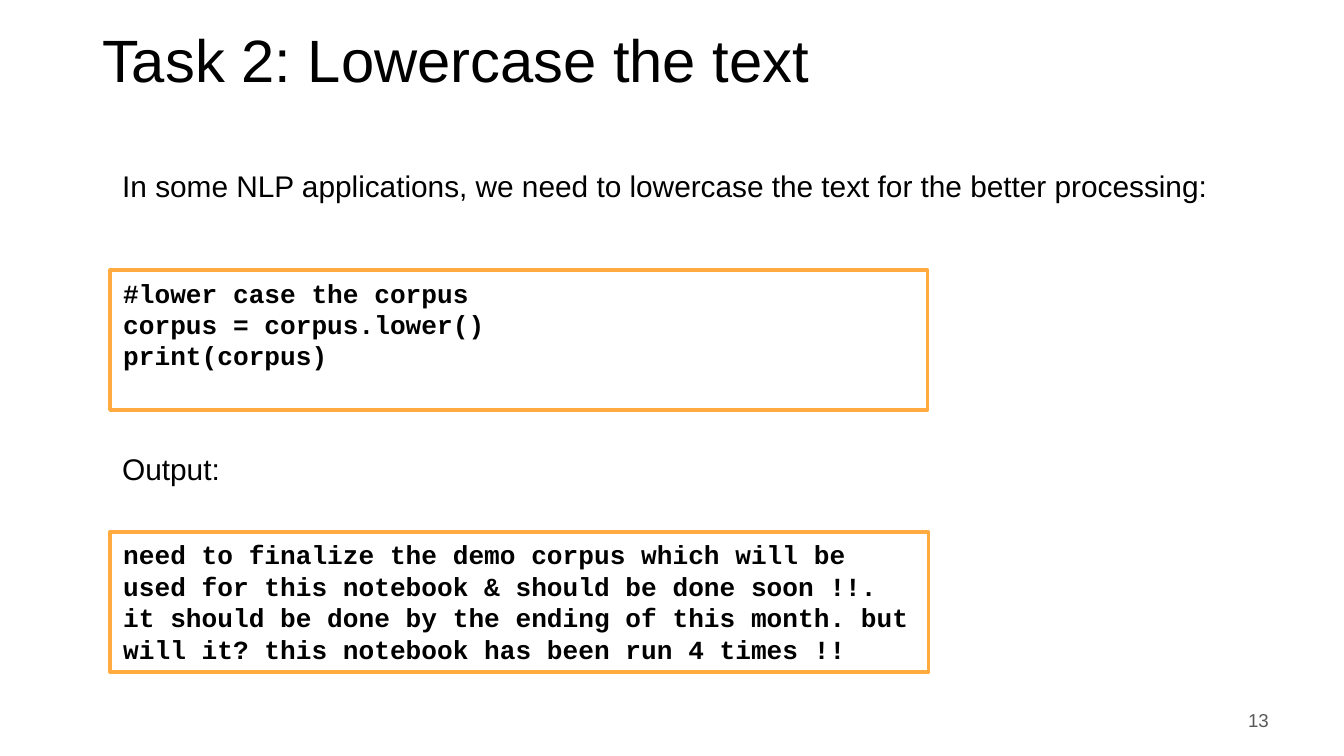
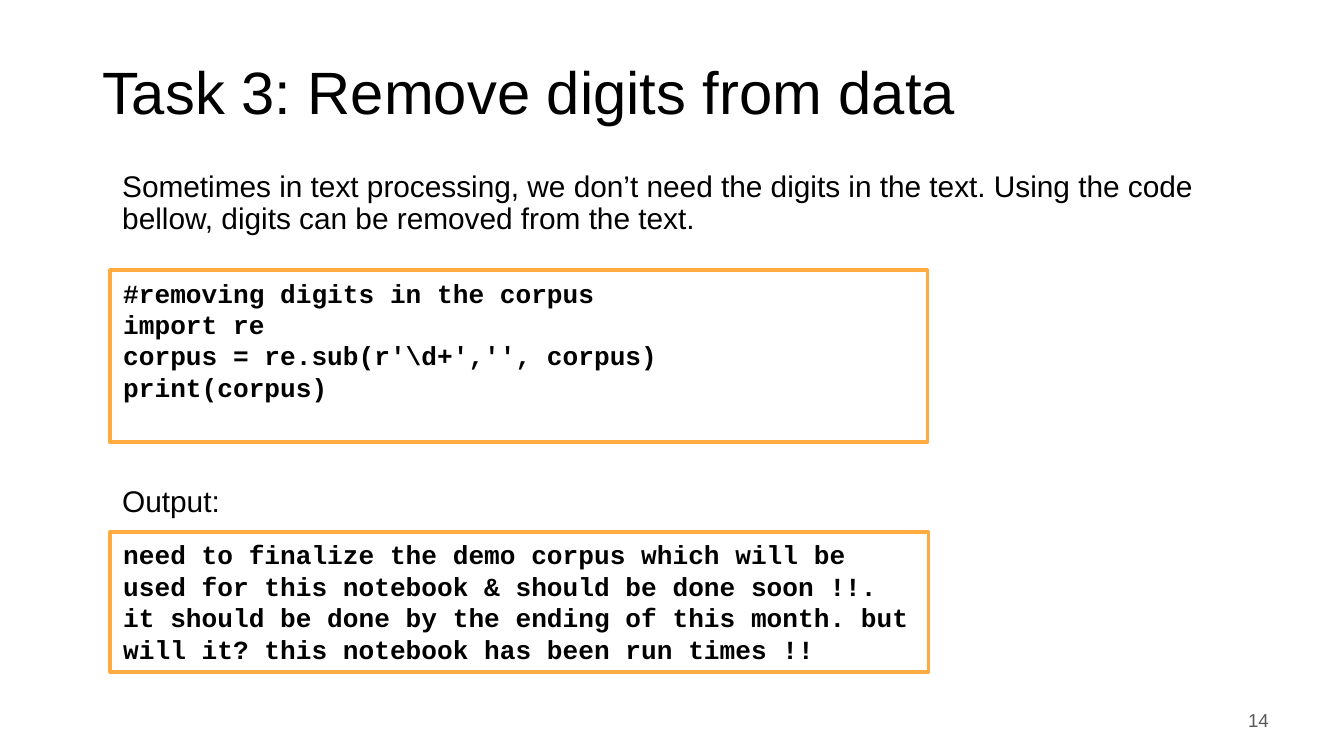
"""Build two slides on lowercasing text and removing digits from a corpus."""
from dataclasses import dataclass

from lxml.etree import SubElement
from pptx import Presentation
from pptx.dml.color import RGBColor
from pptx.enum.shapes import MSO_SHAPE
from pptx.enum.text import MSO_ANCHOR as Anchor, MSO_AUTO_SIZE as AutoSize, PP_ALIGN as Align
from pptx.oxml.ns import qn
from pptx.slide import Slide
from pptx.text.text import TextFrame, _Paragraph as Paragraph
from pptx.util import Cm, Pt


@dataclass(frozen=True)
class Style:
    font: str
    size: int
    color: RGBColor
    bold: bool = False


@dataclass(frozen=True)
class Theme:
    paper: RGBColor = RGBColor(0xFF, 0xFF, 0xFF)
    frame: RGBColor = RGBColor(0xFF, 0xAB, 0x40)
    frame_width: int = 2
    title: Style = Style("Arial", 32, RGBColor(0, 0, 0))
    body: Style = Style("Arial", 16, RGBColor(0, 0, 0))
    code: Style = Style("Courier New", 14, RGBColor(0, 0, 0), True)
    number: Style = Style("Arial", 10, RGBColor(0x59, 0x59, 0x59))


@dataclass(frozen=True)
class Box:
    left: float
    top: float
    width: float
    height: float

    def lengths(self) -> tuple[Cm, Cm, Cm, Cm]:
        return Cm(self.left), Cm(self.top), Cm(self.width), Cm(self.height)


@dataclass(frozen=True)
class Task:
    number: int
    title: str
    intro: str
    code: tuple[str, ...]
    code_height: float
    output: str
    title_lift: float = 0


THEME = Theme()
TITLE_BOX = Box(1.75, 0.76, 21.9, 2.08)
BODY_BOX = Box(1.75, 3.15, 21.9, 9.73)
NUMBER_BOX = Box(18.44, 13.23, 5.72, 0.76)
CODE_LEFT, CODE_TOP, CODE_WIDTH = 2.08, 5.11, 15.45
OUTPUT_BOX = Box(CODE_LEFT, 10.06, 15.47, 2.64)
OUTPUT_GAP = Pt(134.4)

TASKS = (
    Task(
        13,
        "Task 2: Lowercase the text",
        "In some NLP applications, we need to lowercase the text for the better processing:",
        ("#lower case the corpus", "corpus = corpus.lower()", "print(corpus)"),
        2.64,
        "need to finalize the demo corpus which will be used for this notebook & should be "
        "done soon !!. it should be done by the ending of this month. but will it? "
        "this notebook has been run 4 times !!",
        title_lift=0.6,
    ),
    Task(
        14,
        "Task 3: Remove digits from data",
        "Sometimes in text processing, we don’t need the digits in the text. "
        "Using the code bellow, digits can be removed from the text.",
        ("#removing digits in the corpus", "import re",
         r"corpus = re.sub(r'\d+','', corpus)", "print(corpus)"),
        3.25,
        "need to finalize the demo corpus which will be used for this notebook & should be "
        "done soon !!. it should be done by the ending of this month. but will it? "
        "this notebook has been run times !!",
    ),
)


def write(frame: TextFrame, lines: tuple[str, ...], style: Style,
          align: Align = Align.LEFT) -> list[Paragraph]:
    """Fill a frame with one styled paragraph per line."""
    frame.word_wrap = True
    frame.auto_size = AutoSize.NONE
    frame.text = "\n".join(lines)
    for paragraph in frame.paragraphs:
        paragraph.alignment = align
        font = paragraph.font
        font.name, font.size, font.bold = style.font, Pt(style.size), style.bold
        font.color.rgb = style.color
    return list(frame.paragraphs)


def set_insets(frame: TextFrame, anchor: Anchor, lift: float = 0) -> None:
    """Apply the narrow insets, raising middle-anchored text by the lift."""
    frame.margin_left = frame.margin_right = Cm(0.18)
    frame.margin_top, frame.margin_bottom = Cm(0.1), Cm(0.1 + 2 * lift)
    frame.vertical_anchor = anchor


def place(shape, box: Box) -> None:
    """Move a placeholder to a box."""
    shape.left, shape.top, shape.width, shape.height = box.lengths()


def add_title(slide: Slide, task: Task) -> None:
    """Write the slide title."""
    title = slide.shapes.title
    place(title, TITLE_BOX)
    heading, = write(title.text_frame, (task.title,), THEME.title)
    heading.line_spacing = 0.9
    set_insets(title.text_frame, Anchor.MIDDLE, task.title_lift)


def add_body(slide: Slide, intro: str) -> None:
    """Write the introduction and the output label."""
    body = slide.placeholders[1]
    place(body, BODY_BOX)
    paragraphs = write(body.text_frame, (intro, "Output:"), THEME.body)
    for paragraph, gap in zip(paragraphs, (Pt(8), OUTPUT_GAP)):
        paragraph.line_spacing, paragraph.space_before = 0.9, gap
        properties = paragraph._p.get_or_add_pPr()
        properties.set("marL", str(Cm(0.38)))
        properties.set("indent", "0")
        SubElement(properties, qn("a:buNone"))
    set_insets(body.text_frame, Anchor.TOP)


def add_code(slide: Slide, box: Box, lines: tuple[str, ...]) -> None:
    """Draw a framed block of code or output."""
    block = slide.shapes.add_shape(MSO_SHAPE.RECTANGLE, *box.lengths())
    block.shadow.inherit = False
    block.fill.solid()
    block.fill.fore_color.rgb = THEME.paper
    block.line.color.rgb = THEME.frame
    block.line.width = Pt(THEME.frame_width)
    write(block.text_frame, lines, THEME.code)
    block.text_frame.vertical_anchor = Anchor.TOP


def add_number(slide: Slide, number: int) -> None:
    """Write the slide number."""
    footer = slide.shapes.add_textbox(*NUMBER_BOX.lengths()).text_frame
    write(footer, (str(number),), THEME.number, Align.RIGHT)
    set_insets(footer, Anchor.MIDDLE)


def main() -> None:
    """Build and save the presentation."""
    deck = Presentation()
    deck.slide_width, deck.slide_height = Cm(25.4), Cm(14.29)
    for task in TASKS:
        slide = deck.slides.add_slide(deck.slide_layouts[1])
        slide.background.fill.solid()
        slide.background.fill.fore_color.rgb = THEME.paper
        add_title(slide, task)
        add_body(slide, task.intro)
        add_code(slide, Box(CODE_LEFT, CODE_TOP, CODE_WIDTH, task.code_height), task.code)
        add_code(slide, OUTPUT_BOX, (task.output,))
        add_number(slide, task.number)
    deck.save("out.pptx")


if __name__ == "__main__":
    main()
